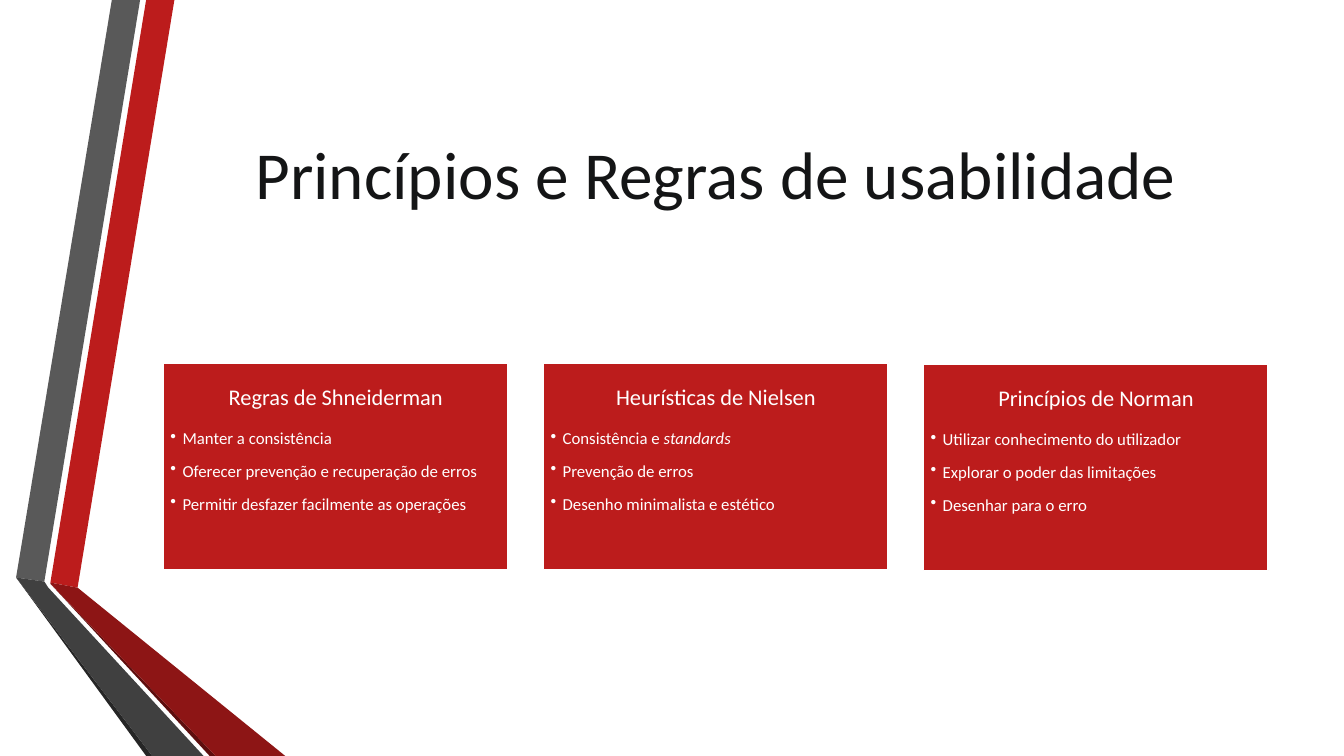
from dataclasses import dataclass

from lxml.etree import SubElement
from pptx import Presentation
from pptx.dml.color import RGBColor
from pptx.enum.shapes import MSO_SHAPE
from pptx.enum.text import MSO_ANCHOR, PP_ALIGN
from pptx.oxml.ns import qn
from pptx.util import Inches, Pt


@dataclass(frozen=True)
class Theme:
    font: str = "Calibri"
    ink: str = "141516"
    white: str = "FFFFFF"
    red: str = "BC1C1C"
    red_fold: str = "8D1515"
    red_edge: str = "5E0E0E"
    grey: str = "595959"
    grey_fold: str = "404040"
    grey_edge: str = "262626"
    title_size: int = 48
    heading_size: int = 16
    item_size: int = 12
    border: float = 1.25


THEME = Theme()

RIBBONS = [
    (THEME.red, [(0.5, 5.78), (0.77, 5.83), (1.73, 0), (1.45, 0)]),
    (THEME.grey, [(1.39, 0), (1.11, 0), (0.16, 5.73), (0.44, 5.77)]),
    (THEME.grey_edge, [(0.16, 5.73), (1.45, 7.5), (1.51, 7.5)]),
    (THEME.red_edge, [(0.5, 5.79), (2.08, 7.5), (2.14, 7.5)]),
    (THEME.red_fold, [(0.5, 5.78), (0.5, 5.79), (2.14, 7.5), (2.83, 7.5), (0.77, 5.83)]),
    (THEME.grey_fold, [(2.02, 7.5), (0.48, 5.83), (0.44, 5.77), (0.16, 5.73), (1.51, 7.5)]),
]

CARDS = [
    ("Regras de Shneiderman", 3.6, [
        [("Manter a consistência", False)],
        [("Oferecer prevenção e recuperação de erros", False)],
        [("Permitir desfazer facilmente as operações", False)],
    ]),
    ("Heurísticas de Nielsen", 3.6, [
        [("Consistência e ", False), ("standards", True)],
        [("Prevenção de erros", False)],
        [("Desenho minimalista e estético", False)],
    ]),
    ("Princípios de Norman", 3.61, [
        [("Utilizar conhecimento do utilizador", False)],
        [("Explorar o poder das limitações", False)],
        [("Desenhar para o erro", False)],
    ]),
]


def style(paragraph, size, color):
    paragraph.font.name = THEME.font
    paragraph.font.size = Pt(size)
    paragraph.font.color.rgb = RGBColor.from_string(color)


def fill(shape, color):
    shape.shadow.inherit = False
    shape.fill.solid()
    shape.fill.fore_color.rgb = RGBColor.from_string(color)


def add_ribbons(slide, left, top):
    for color, corners in RIBBONS:
        points = [(Inches(left + x), Inches(top + y)) for x, y in corners]
        outline = slide.shapes.build_freeform(*points[0])
        outline.add_line_segments(points[1:], close=True)
        ribbon = outline.convert_to_shape()
        fill(ribbon, color)
        ribbon.line.fill.background()


def add_title(slide, left, top, width, height):
    title = slide.shapes.add_textbox(Inches(left), Inches(top), Inches(width), Inches(height))
    frame = title.text_frame
    frame.word_wrap = True
    frame.vertical_anchor = MSO_ANCHOR.MIDDLE
    heading = frame.paragraphs[0]
    heading.text = "Princípios e Regras de usabilidade"
    heading.alignment = PP_ALIGN.CENTER
    style(heading, THEME.title_size, THEME.ink)


def add_bullet(paragraph):
    properties = paragraph._p.get_or_add_pPr()
    properties.set("marL", str(Inches(0.12)))
    properties.set("indent", str(-Inches(0.12)))
    SubElement(properties, qn("a:buChar"), char="•")


def add_card(slide, heading_text, items, left, top, width, height):
    card = slide.shapes.add_shape(
        MSO_SHAPE.RECTANGLE, Inches(left), Inches(top), Inches(width), Inches(height))
    fill(card, THEME.red)
    card.line.color.rgb = RGBColor.from_string(THEME.white)
    card.line.width = Pt(THEME.border)

    frame = card.text_frame
    frame.word_wrap = True
    frame.vertical_anchor = MSO_ANCHOR.TOP
    frame.margin_left = frame.margin_right = Inches(0.07)
    frame.margin_top = frame.margin_bottom = Inches(0.07)

    heading = frame.paragraphs[0]
    heading.text = heading_text
    heading.alignment = PP_ALIGN.CENTER
    heading.line_spacing = 1.5
    heading.space_after = Pt(0.35 * THEME.heading_size)
    style(heading, THEME.heading_size, THEME.white)

    for pieces in items:
        item = frame.add_paragraph()
        item.level = 1
        item.alignment = PP_ALIGN.LEFT
        item.line_spacing = 1.5
        item.space_after = Pt(0.15 * THEME.item_size)
        add_bullet(item)
        style(item, THEME.item_size, THEME.white)
        for text, italic in pieces:
            run = item.add_run()
            run.text = text
            if italic:
                run.font.italic = True


def add_cards(slide, left, width, card_width):
    step = (width - card_width) / (len(CARDS) - 1)
    for column, (heading, top, items) in enumerate(CARDS):
        add_card(slide, heading, items, left + column * step, top, card_width, 2.05)


def main():
    presentation = Presentation()
    presentation.slide_width = Inches(13.33)
    presentation.slide_height = Inches(7.5)
    slide = presentation.slides.add_slide(presentation.slide_layouts[6])
    add_ribbons(slide, 0, 0)
    add_title(slide, 1.62, 0.75, 10.96, 1.92)
    add_cards(slide, 1.62, 10.96, 3.42)
    presentation.save("out.pptx")


if __name__ == "__main__":
    main()
